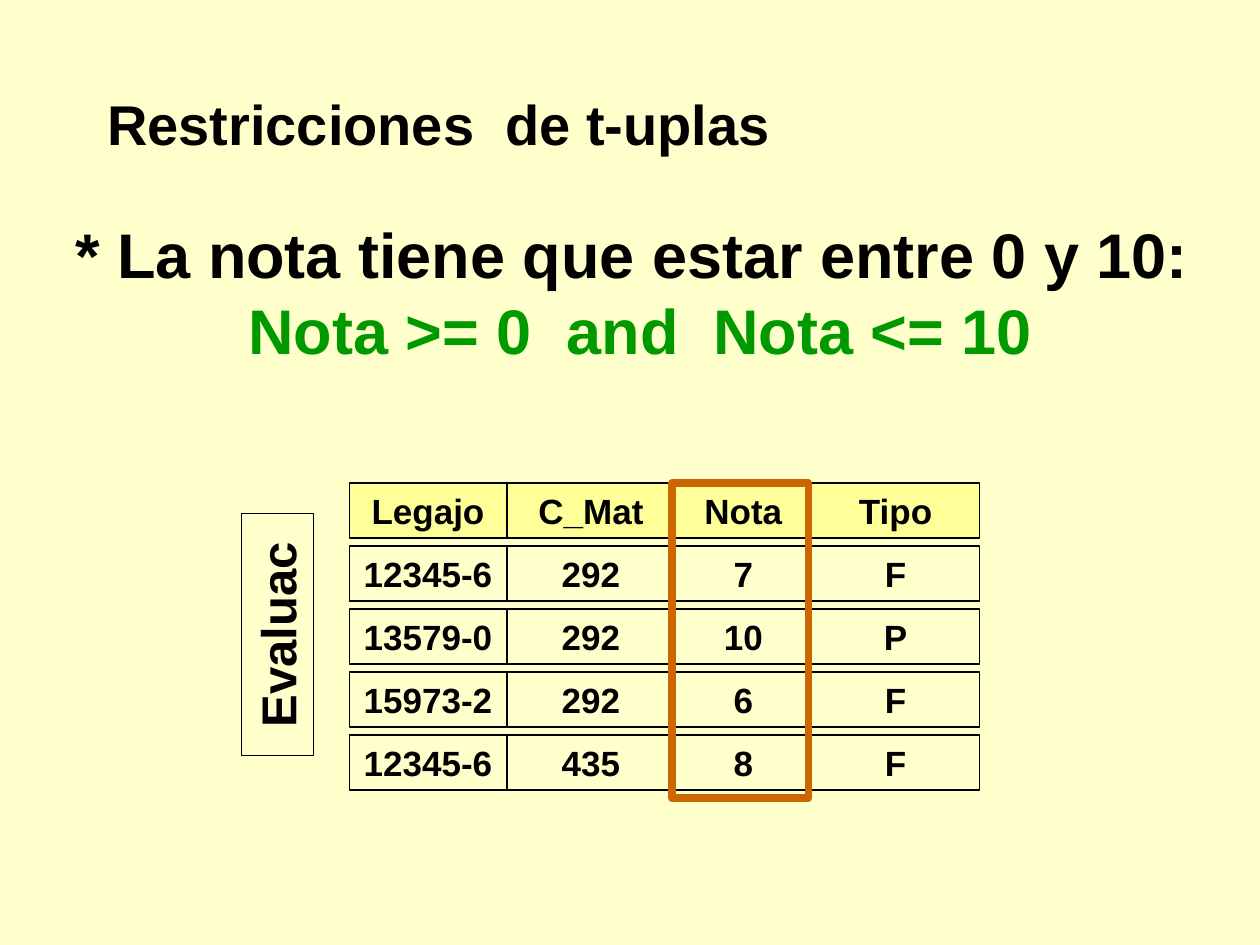
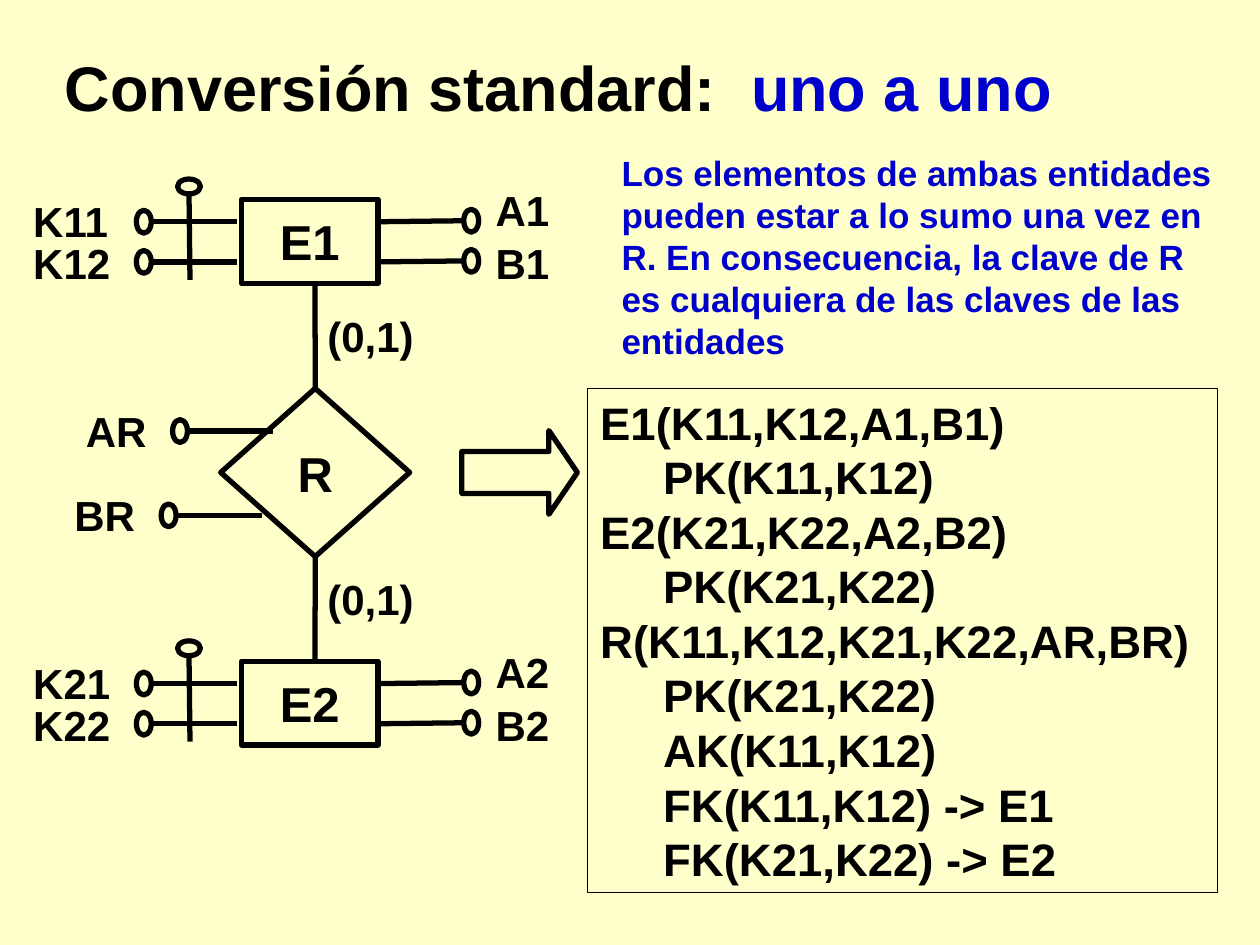
from dataclasses import dataclass

from lxml import etree
from pptx import Presentation
from pptx import util as u
from pptx.dml.color import RGBColor
from pptx.enum import shapes, text

Cm, Pt = u.Cm, u.Pt
FORM, ALIGN = shapes.MSO_SHAPE, text.PP_ALIGN


@dataclass(frozen=True)
class Theme:
    back: str = "FFFFCC"
    head: str = "FFFF99"
    ink: str = "000000"
    blue: str = "0000CC"
    green: str = "009900"
    frame: str = "CC6600"
    font: str = "Arial"
    cell: int = 20
    label: int = 24
    code: int = 26
    name: int = 28
    topic: int = 32
    big: int = 36
    thin: float = 0.75
    thick: float = 3
    heavy: float = 4.5


T = Theme()


@dataclass(frozen=True)
class Para:
    """Runs are (text, colour) pairs; a final newline is a line break."""
    runs: tuple
    indent: float = 0


@dataclass(frozen=True)
class Box:
    """Lengths in centimetres; without a form it is a text box."""
    x: float
    y: float
    w: float
    h: float
    paras: tuple = ()
    size: int = T.cell
    align: ALIGN = ALIGN.LEFT
    form: FORM | None = None
    fill: str | None = None
    line: str = T.ink
    width: float = T.thin
    turn: float = 0
    grow: bool = True


@dataclass(frozen=True)
class Pin:
    """An attribute: a ring centred on x, y and a stem to one side."""
    x: float
    y: float
    side: int = 1


def plain(words: str, tint: str = T.ink) -> tuple:
    return (Para(((words, tint),)),)


def apply(target, values: dict) -> None:
    for key, value in values.items():
        setattr(target, key, value)


def write(shape, box: Box) -> None:
    frame = shape.text_frame
    fit = text.MSO_AUTO_SIZE
    apply(frame, {
        "word_wrap": box.grow,
        "auto_size": fit.SHAPE_TO_FIT_TEXT if box.grow else fit.NONE,
        "vertical_anchor": text.MSO_ANCHOR.TOP if box.grow
        else text.MSO_ANCHOR.MIDDLE,
    })
    for i, para in enumerate(box.paras):
        p = frame.add_paragraph() if i else frame.paragraphs[0]
        p.alignment = box.align
        if para.indent:
            p._p.get_or_add_pPr().set("marL", str(Cm(para.indent)))
        for words, tint in para.runs:
            run = p.add_run()
            run.text = words.removesuffix("\n")
            apply(run.font, {"name": T.font, "size": Pt(box.size), "bold": True})
            run.font.color.rgb = RGBColor.from_string(tint)
            if words.endswith("\n"):
                p.add_line_break()


def draw(slide, box: Box):
    area = [Cm(v) for v in (box.x, box.y, box.w, box.h)]
    if box.form is None:
        shape = slide.shapes.add_textbox(*area)
    else:
        shape = slide.shapes.add_shape(box.form, *area)
        shape.shadow.inherit = False
        if box.fill:
            shape.fill.solid()
            shape.fill.fore_color.rgb = RGBColor.from_string(box.fill)
        else:
            shape.fill.background()
        shape.line.color.rgb = RGBColor.from_string(box.line)
        shape.line.width = Pt(box.width)
    shape.rotation = box.turn
    if box.paras:
        write(shape, box)
    return shape


def link(slide, x1: float, y1: float, x2: float, y2: float):
    line = slide.shapes.add_connector(
        shapes.MSO_CONNECTOR.STRAIGHT, Cm(x1), Cm(y1), Cm(x2), Cm(y2))
    line.line.color.rgb = RGBColor.from_string(T.ink)
    line.line.width = Pt(T.thick)
    props = line._element.spPr
    etree.SubElement(props, props.tag.replace("}spPr", "}effectLst").replace(
        "presentationml", "drawingml").replace("2006/main", "2006/main"))
    return line


def ring(slide, x: float, y: float, w: float, h: float) -> None:
    draw(slide, Box(x - w / 2, y - h / 2, w, h, form=FORM.OVAL, width=T.thick))


def attach(slide, pin: Pin) -> None:
    tilt = 0.02 if pin.side < 0 else 0
    link(slide, pin.x + 0.15 * pin.side, pin.y,
         pin.x + 1.88 * pin.side, pin.y + tilt)
    ring(slide, pin.x, pin.y, 0.3, 0.46)


def tag(slide, words: str, x: float, y: float, w: float = 2.12) -> None:
    draw(slide, Box(x, y, w, 1.27, plain(words), T.label))


def page(deck):
    slide = deck.slides.add_slide(deck.slide_layouts[6])
    slide.background.fill.solid()
    slide.background.fill.fore_color.rgb = RGBColor.from_string(T.back)
    return slide


# Slide 1: tuple constraints
ROWS = (
    ("Legajo", "C_Mat", "Nota", "Tipo"),
    ("12345-6", "292", "7", "F"),
    ("13579-0", "292", "10", "P"),
    ("15973-2", "292", "6", "F"),
    ("12345-6", "435", "8", "F"),
)
WIDTHS = (3.18, 3.39, 2.75, 3.39)


def tuples(deck) -> None:
    slide = page(deck)
    rule = (Para((("* La nota tiene que estar entre 0 y 10: \n", T.ink),
                  ("Nota >= 0  and  Nota <= 10", T.green))),)
    draw(slide, Box(1.06, 4.23, 23.71, 3.3, rule, T.big, ALIGN.CENTER))
    draw(slide, Box(1.91, 1.69, 15.03, 1.62,
                    plain("Restricciones  de t-uplas"), T.topic))
    # Rows of cells with an equal gap
    for r, row in enumerate(ROWS):
        for c, words in enumerate(row):
            draw(slide, Box(7.04 + sum(WIDTHS[:c]), 9.74 + 1.27 * r,
                            WIDTHS[c], 1.11, plain(words), T.cell,
                            ALIGN.CENTER, FORM.RECTANGLE,
                            None if r else T.head))
    # Table name and marked column
    draw(slide, Box(3.15, 12.07, 4.88, 1.45, plain("Evaluac"), T.name,
                    ALIGN.CENTER, FORM.RECTANGLE, turn=270))
    draw(slide, Box(13.55, 9.74, 2.75, 6.35, form=FORM.RECTANGLE,
                    line=T.frame, width=T.heavy))


# Slide 2: one-to-one conversion
CODE = (
    ("E1(K11,K12,A1,B1)", 0),
    ("PK(K11,K12)", 1),
    ("E2(K21,K22,A2,B2)", 0),
    ("PK(K21,K22)", 1),
    ("R(K11,K12,K21,K22,AR,BR)", 0),
    ("PK(K21,K22)", 1),
    ("AK(K11,K12)", 1),
    ("FK(K11,K12) -> E1", 1),
    ("FK(K21,K22) -> E2", 1),
)
NOTE = ("Los elementos de ambas entidades pueden estar a lo sumo una vez en R. "
        "En consecuencia, la clave de R es cualquiera de las claves de las "
        "entidades")


def node(slide, words: str, form: FORM, x: float, y: float, w: float, h: float):
    return draw(slide, Box(x, y, w, h, plain(words), T.name, ALIGN.CENTER,
                           form, width=T.thick, grow=False))


def entity(slide, num: int, y: float) -> None:
    node(slide, f"E{num}", FORM.RECTANGLE, 4.87, y, 2.75, 1.69)
    for down in (0.45, 1.26):
        attach(slide, Pin(2.9, y + down))
        attach(slide, Pin(9.5, y + down - 0.02, -1))
    # Compound key stroke
    link(slide, 3.81, y - 0.11, 3.83, y + 1.62)
    ring(slide, 3.81, y - 0.26, 0.46, 0.3)
    for words, x, down in ((f"K{num}1", 0.42, -0.21), (f"K{num}2", 0.42, 0.64),
                           (f"A{num}", 9.74, -0.42), (f"B{num}", 9.74, 0.64)):
        tag(slide, words, x, y + down)


def convert(deck) -> None:
    slide = page(deck)
    title = (Para((("Conversión standard:  ", T.ink), ("uno a uno", T.blue))),)
    draw(slide, Box(1.06, 0.85, 23.07, 1.78, title, T.big))
    # Entities and relation
    entity(slide, 1, 4.02)
    entity(slide, 2, 13.33)
    bond = node(slide, "R", FORM.DIAMOND, 4.45, 7.83, 3.81, 3.39)
    for site, start, end, note in ((0, 7.83, 5.71, 6.14),
                                   (2, 11.22, 13.33, 11.43)):
        link(slide, 6.35, start, 6.35, end).begin_connect(bond, site)
        tag(slide, "(0,1)", 6.35, note, 2.54)
    for words, x, y in (("AR", 3.63, 8.69), ("BR", 3.4, 10.39)):
        attach(slide, Pin(x, y))
        tag(slide, words, x - 2.15, y - 0.65)
    # Explanation, arrow and resulting schema
    draw(slide, Box(12.28, 2.92, 12.49, 4.5, plain(NOTE, T.blue), T.cell))
    arrow = draw(slide, Box(9.31, 8.68, 2.33, 1.69, form=FORM.RIGHT_ARROW,
                            width=T.thick))
    arrow.adjustments[1] = 0.34
    lines = tuple(Para(((words, T.ink),), 1.27 * deep) for words, deep in CODE)
    draw(slide, Box(11.85, 7.83, 12.7, 10.16, lines, T.code,
                    form=FORM.RECTANGLE))


def main() -> None:
    deck = Presentation()
    apply(deck, {"slide_width": Cm(25.4), "slide_height": Cm(19.05)})
    tuples(deck)
    convert(deck)
    deck.save("out.pptx")


if __name__ == "__main__":
    main()
